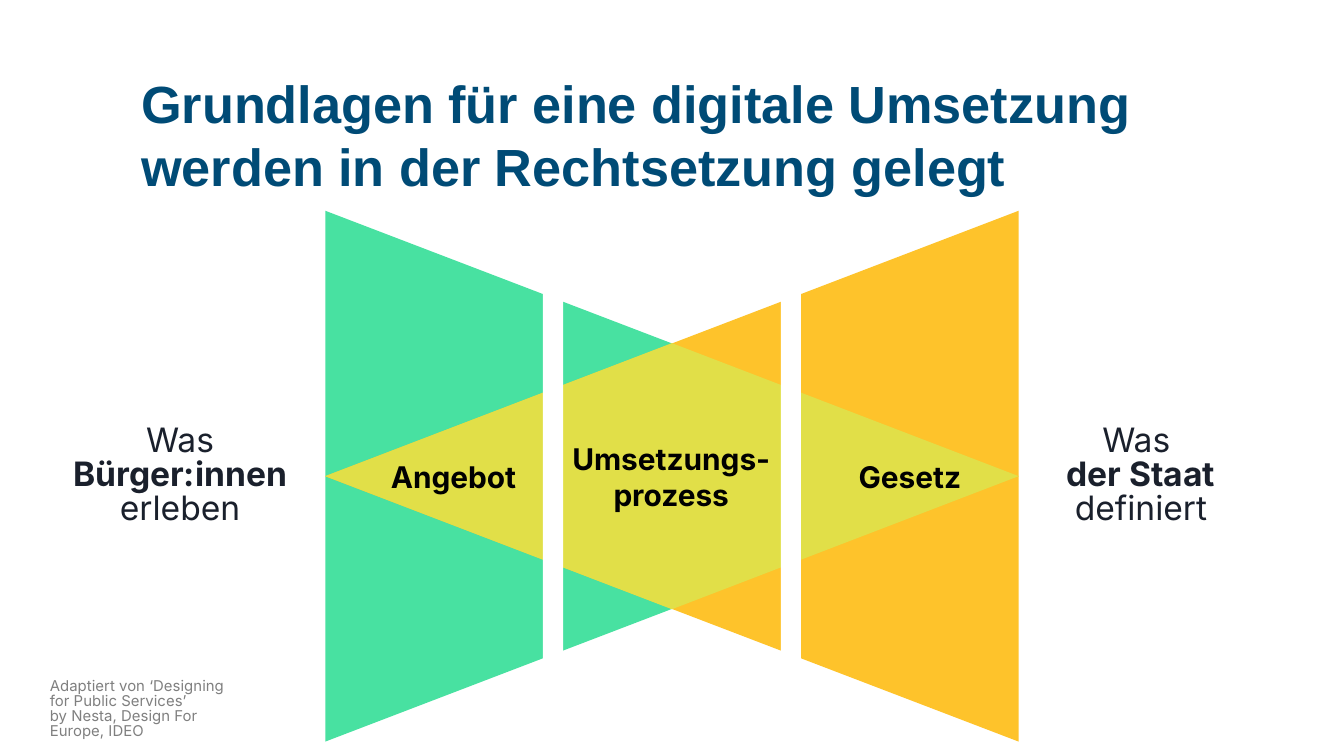
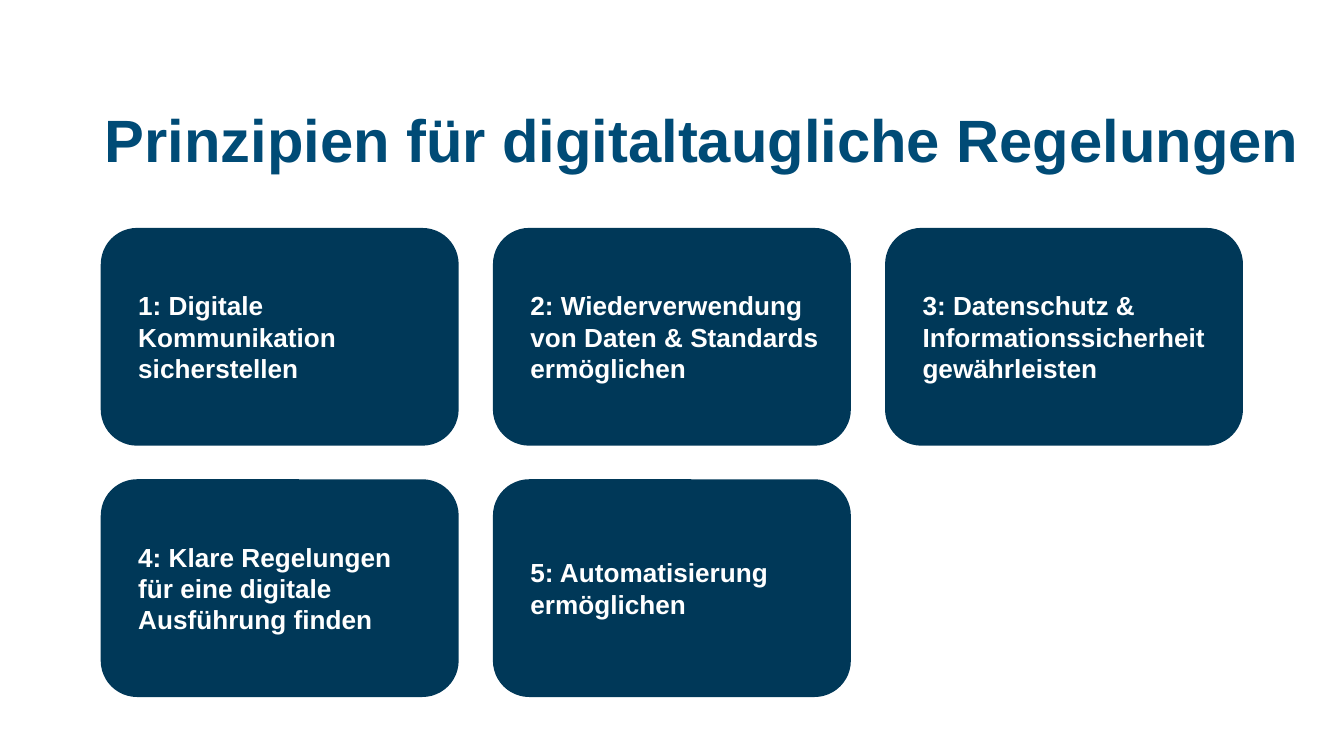
"""Builds two slides on rules that are ready for digital implementation."""
from pptx import Presentation
from pptx.dml.color import RGBColor
from pptx.enum.shapes import MSO_SHAPE
from pptx.enum.text import MSO_ANCHOR, MSO_AUTO_SIZE, PP_ALIGN
from pptx.util import Inches, Pt

TRIANGLE, DIAMOND = MSO_SHAPE.ISOSCELES_TRIANGLE, MSO_SHAPE.DIAMOND
RECTANGLE, ROUNDED = MSO_SHAPE.RECTANGLE, MSO_SHAPE.ROUNDED_RECTANGLE
TOP, MIDDLE = MSO_ANCHOR.TOP, MSO_ANCHOR.MIDDLE
LEFT, CENTER = PP_ALIGN.LEFT, PP_ALIGN.CENTER
GROW = MSO_AUTO_SIZE.SHAPE_TO_FIT_TEXT

COLORS = {
    "title": "004B76", "card": "003858", "white": "FFFFFF", "black": "000000",
    "citizens": "48E1A1", "state": "FEC32B", "overlap": "E1DF48",
    "caption": "1A202C", "source": "7F7F7F",
}
COLUMNS = 100
ROWS = COLUMNS * 9 / 16
CELL = Inches(0.1)
CENTER_X, CENTER_Y = 50, 35.43
REACH, SPREAD, OVERLAP = 51.6, 39.5, 19.8
BREAK = "\n"


def cells(*lengths):
    """Turn grid columns and rows into slide lengths."""
    return [round(length * CELL) for length in lengths]


def add_figure(page, kind, area, color, rotation=0):
    """Add a flat preset shape without outline or shadow."""
    figure = page.shapes.add_shape(kind, *cells(*area))
    figure.fill.solid()
    figure.fill.fore_color.rgb = RGBColor.from_string(COLORS[color])
    figure.line.fill.background()
    figure.shadow.inherit = False
    figure.rotation = rotation
    return figure


def add_centered(page, kind, center_x, size, color, rotation=0):
    """Add a figure on the horizontal axis of the diagram."""
    width, height = size
    area = (center_x - width / 2, CENTER_Y - height / 2, width, height)
    return add_figure(page, kind, area, color, rotation)


def set_frame(frame, insets, anchor=TOP):
    """Set wrapping, anchor and the four insets of a text frame."""
    frame.word_wrap = True
    frame.vertical_anchor = anchor
    (frame.margin_left, frame.margin_top,
     frame.margin_right, frame.margin_bottom) = cells(*insets)


def style_para(para, font, size, color, bold=None, align=LEFT, spacing=None):
    """Set alignment, line spacing and font of a paragraph."""
    para.alignment = align
    if spacing:
        para.line_spacing = spacing
    para.font.name = font
    para.font.size = Pt(size)
    para.font.bold = bold
    para.font.color.rgb = RGBColor.from_string(COLORS[color])


def add_box(page, area, insets, anchor=TOP):
    """Add an empty text box and return its frame."""
    frame = page.shapes.add_textbox(*cells(*area)).text_frame
    set_frame(frame, insets, anchor)
    return frame


def add_title(page, area, text, size, spacing=None):
    """Add the slide title."""
    para = add_box(page, area, (1, 0.5, 1, 0.5)).paragraphs[0]
    para.text = text
    style_para(para, "Arial", size, "title", True, spacing=spacing)


def add_label(page, area, text):
    """Add a bold label inside the diagram."""
    para = add_box(page, area, (1, 1, 1, 1), MIDDLE).paragraphs[0]
    para.text = text
    style_para(para, "Inter", 16, "black", True, CENTER)


def add_caption(page, area, spans):
    """Add a side caption whose middle span is bold."""
    frame = add_box(page, area, (1, 1, 1, 1))
    frame.auto_size = GROW
    para = frame.paragraphs[0]
    style_para(para, "Inter", 18, "caption", align=CENTER, spacing=0.85)
    for index, text in enumerate(spans):
        span = para.add_run()
        span.text = text.rstrip(BREAK)
        span.font.bold = index == 1
        if text.endswith(BREAK):
            para.add_line_break()


def add_source(page, area, lines):
    """Add the small source note."""
    frame = add_box(page, area, (1, 1, 1, 1))
    frame.auto_size = GROW
    frame.text = BREAK.join(lines)
    for para in frame.paragraphs:
        style_para(para, "Inter", 8, "source", spacing=0.85)


def add_card(page, area, text):
    """Add a rounded card holding one principle."""
    card = add_figure(page, ROUNDED, area, "card")
    set_frame(card.text_frame, (2, 0.5, 1.5, 0.5), MIDDLE)
    para = card.text_frame.paragraphs[0]
    para.text = text
    style_para(para, "Arial", 14, "white", True)


def build_foundations(page):
    """Draw the diagram between citizens and state."""
    for color, rotation in (("citizens", 90), ("state", 270)):
        add_centered(page, TRIANGLE, CENTER_X, (SPREAD, REACH), color, rotation)
    add_centered(page, DIAMOND, CENTER_X, (REACH, OVERLAP), "overlap")
    add_title(page, (9.53, 4.8, 86.3, 5.3),
              "Grundlagen für eine digitale Umsetzung werden in der "
              "Rechtsetzung gelegt", 28)
    add_label(page, (59.6, 33.1, 16.2, 4.7), "Gesetz")
    add_label(page, (41.1, 31.75, 17.7, 7.4), "Umsetzungs-prozess")
    add_label(page, (27.05, 33.1, 13.4, 4.7), "Angebot")
    add_caption(page, (4.05, 30.6, 18.7, 9.7),
                ("Was ", "Bürger:innen ", "erleben"))
    add_caption(page, (77.25, 30.6, 15.3, 9.7),
                ("Was \n", "der Staat\n", "definiert"))
    add_source(page, (2.73, 49.53, 15.3, 6.6),
               ("Adaptiert von ‘Designing for Public Services’",
                "by Nesta, Design For Europe, IDEO"))
    for side in (1, -1):
        add_centered(page, RECTANGLE, CENTER_X + side * 8.85, (1.5, 31.7),
                     "white")


def build_principles(page):
    """Lay out the principles as cards, three to a row."""
    add_title(page, (6.8, 7.75, 91, 5.9),
              "Prinzipien für digitaltaugliche Regelungen", 32, 0.9)
    principles = (
        "Digitale Kommunikation sicherstellen",
        "Wiederverwendung von Daten & Standards ermöglichen",
        "Datenschutz & Informationssicherheit gewährleisten",
        "Klare Regelungen für eine digitale Ausführung finden",
        "Automatisierung ermöglichen",
    )
    width, height, gap = 26.63, 16.2, 2.55
    for index, principle in enumerate(principles):
        row, column = divmod(index, 3)
        area = (7.5 + column * (width + gap), 16.96 + row * (height + 2.5),
                width, height)
        add_card(page, area, f"{index + 1}: {principle}")


def main():
    """Build and save the deck."""
    deck = Presentation()
    deck.slide_width, deck.slide_height = cells(COLUMNS, ROWS)
    for build in (build_foundations, build_principles):
        build(deck.slides.add_slide(deck.slide_layouts[6]))
    deck.save("out.pptx")


if __name__ == "__main__":
    main()
